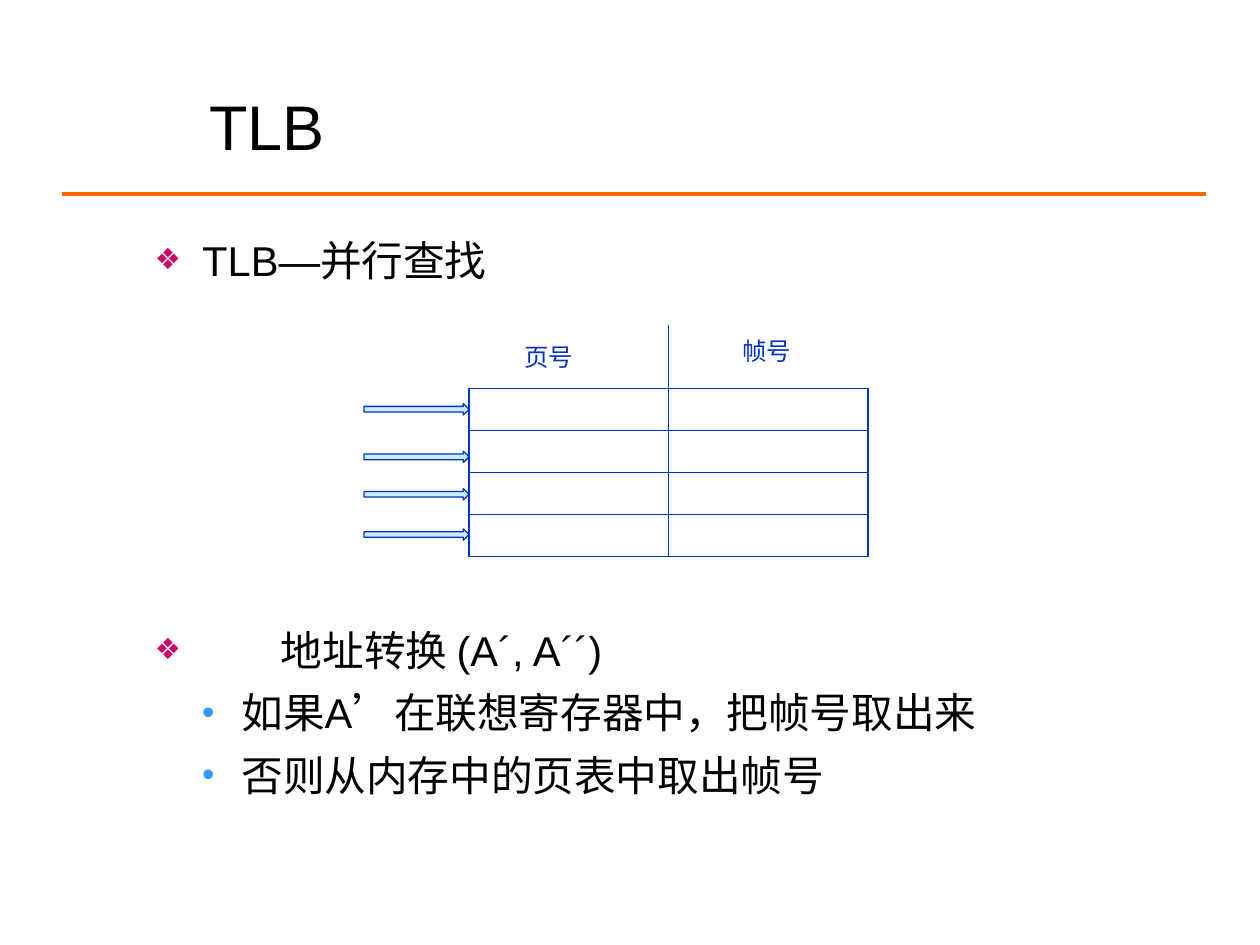
from lxml.etree import SubElement
from pptx import Presentation
from pptx.dml.color import RGBColor
from pptx.enum.shapes import MSO_CONNECTOR, MSO_SHAPE
from pptx.enum.text import MSO_ANCHOR, PP_ALIGN
from pptx.oxml.ns import qn
from pptx.util import Pt

COLORS = {"text": "000000", "rule": "FF6600", "diagram": "0033CC", "arrow": "CCECFF",
          "table": "FFFFFF", "diamond": "CC0066", "dot": "3399FF"}
FONT = "Arial"
TITLE = "TLB"
BULLET_STYLES = {"main": ("❖", "diamond", 70), "sub": ("•", "dot", 85)}
# style, text, left margin, hanging indent, space before
BULLETS = [
    ("main", "TLB—并行查找", 27, 27, 0),
    ("main", "地址转换 (A´, A´´)", 72, 72, 194.5),
    ("sub", "如果A’在联想寄存器中，把帧号取出来", 49.5, 22.5, 7),
    ("sub", "否则从内存中的页表中取出帧号", 49.5, 22.5, 7),
]
COLUMN_LABELS = [("页号", 292.5, 192, 46.8), ("帧号", 417, 188.5, 49)]
TABLE_LEFT, TABLE_TOP, TABLE_WIDTH, ROW_HEIGHT, ROWS = 268, 222, 228, 24, 4
DIVIDER_TOP = 186
ARROW_TOPS = [230.6, 257.8, 279.2, 302.2]
ARROW_WIDTH, ARROW_HEIGHT = 60, 6.5


def color(name):
    """Return the named colour."""
    return RGBColor.from_string(COLORS[name])


def add_run(paragraph, text, size, color_name):
    """Add one formatted run to a paragraph."""
    run = paragraph.add_run()
    run.text = text
    run.font.name = FONT
    run.font.size = Pt(size)
    run.font.color.rgb = color(color_name)


def add_line(slide, start, end, color_name, width):
    """Add a straight connector without a shadow."""
    points = [Pt(value) for value in (*start, *end)]
    connector = slide.shapes.add_connector(MSO_CONNECTOR.STRAIGHT, *points)
    connector.line.color.rgb = color(color_name)
    connector.line.width = Pt(width)
    SubElement(connector._element.spPr, qn("a:effectLst"))
    return connector


def add_block(slide, kind, left, top, width, height, fill_name):
    """Add a filled and outlined diagram shape."""
    shape = slide.shapes.add_shape(kind, Pt(left), Pt(top), Pt(width), Pt(height))
    shape.shadow.inherit = False
    shape.fill.solid()
    shape.fill.fore_color.rgb = color(fill_name)
    shape.line.color.rgb = color("diagram")
    shape.line.width = Pt(0.75)
    return shape


def set_bullet(paragraph, style, margin, hanging):
    """Give a paragraph a coloured bullet with a hanging indent."""
    character, color_name, percent = BULLET_STYLES[style]
    properties = paragraph._p.get_or_add_pPr()
    properties.set("marL", str(Pt(margin)))
    properties.set("indent", str(Pt(-hanging)))
    bullet_color = SubElement(properties, qn("a:buClr"))
    SubElement(bullet_color, qn("a:srgbClr"), val=COLORS[color_name])
    SubElement(properties, qn("a:buSzPct"), val=str(percent * 1000))
    SubElement(properties, qn("a:buFont"), typeface=FONT)
    SubElement(properties, qn("a:buChar"), char=character)


def add_title(slide):
    """Place the title and the rule under it."""
    title = slide.shapes.title
    title.left, title.top, title.width, title.height = Pt(112.5), Pt(41), Pt(564.5), Pt(61)
    title.text_frame.vertical_anchor = MSO_ANCHOR.MIDDLE
    paragraph = title.text_frame.paragraphs[0]
    paragraph.alignment = PP_ALIGN.LEFT
    add_run(paragraph, TITLE, 36, "text")
    add_line(slide, (35.5, 111), (689, 111), "rule", 2.25)


def add_bullets(slide):
    """Add the bulleted text above and below the diagram."""
    frame = slide.shapes.add_textbox(Pt(81.5), Pt(130.5), Pt(559.5), Pt(340)).text_frame
    frame.word_wrap = True
    for index, (style, text, margin, hanging, space) in enumerate(BULLETS):
        paragraph = frame.add_paragraph() if index else frame.paragraphs[0]
        paragraph.level = 1 if style == "sub" else 0
        paragraph.space_before = Pt(space)
        set_bullet(paragraph, style, margin, hanging)
        add_run(paragraph, text, 23.8, "text")


def add_diagram(slide):
    """Draw the lookup table with its labels and parallel arrows."""
    right = TABLE_LEFT + TABLE_WIDTH
    bottom = TABLE_TOP + ROWS * ROW_HEIGHT
    center = TABLE_LEFT + TABLE_WIDTH / 2
    table = add_block(slide, MSO_SHAPE.RECTANGLE, TABLE_LEFT, TABLE_TOP, TABLE_WIDTH,
                      ROWS * ROW_HEIGHT, "table")
    divider = add_line(slide, (center, DIVIDER_TOP), (center, bottom), "diagram", 0.75)
    divider.end_connect(table, 2)
    for row in range(1, ROWS):
        y = TABLE_TOP + row * ROW_HEIGHT
        line = add_line(slide, (TABLE_LEFT, y), (right, y), "diagram", 0.75)
        if row * 2 == ROWS:
            line.begin_connect(table, 1)
            line.end_connect(table, 3)
    for text, left, top, width in COLUMN_LABELS:
        frame = slide.shapes.add_textbox(Pt(left), Pt(top), Pt(width), Pt(24)).text_frame
        frame.word_wrap = False
        frame.vertical_anchor = MSO_ANCHOR.MIDDLE
        add_run(frame.paragraphs[0], text, 14, "diagram")
    for top in ARROW_TOPS:
        add_block(slide, MSO_SHAPE.RIGHT_ARROW, TABLE_LEFT - ARROW_WIDTH, top,
                  ARROW_WIDTH, ARROW_HEIGHT, "arrow")


def main():
    """Build and save the slide."""
    presentation = Presentation()
    presentation.slide_width, presentation.slide_height = Pt(720), Pt(540)
    slide = presentation.slides.add_slide(presentation.slide_layouts[5])
    add_title(slide)
    add_bullets(slide)
    add_diagram(slide)
    presentation.save("out.pptx")


if __name__ == "__main__":
    main()
